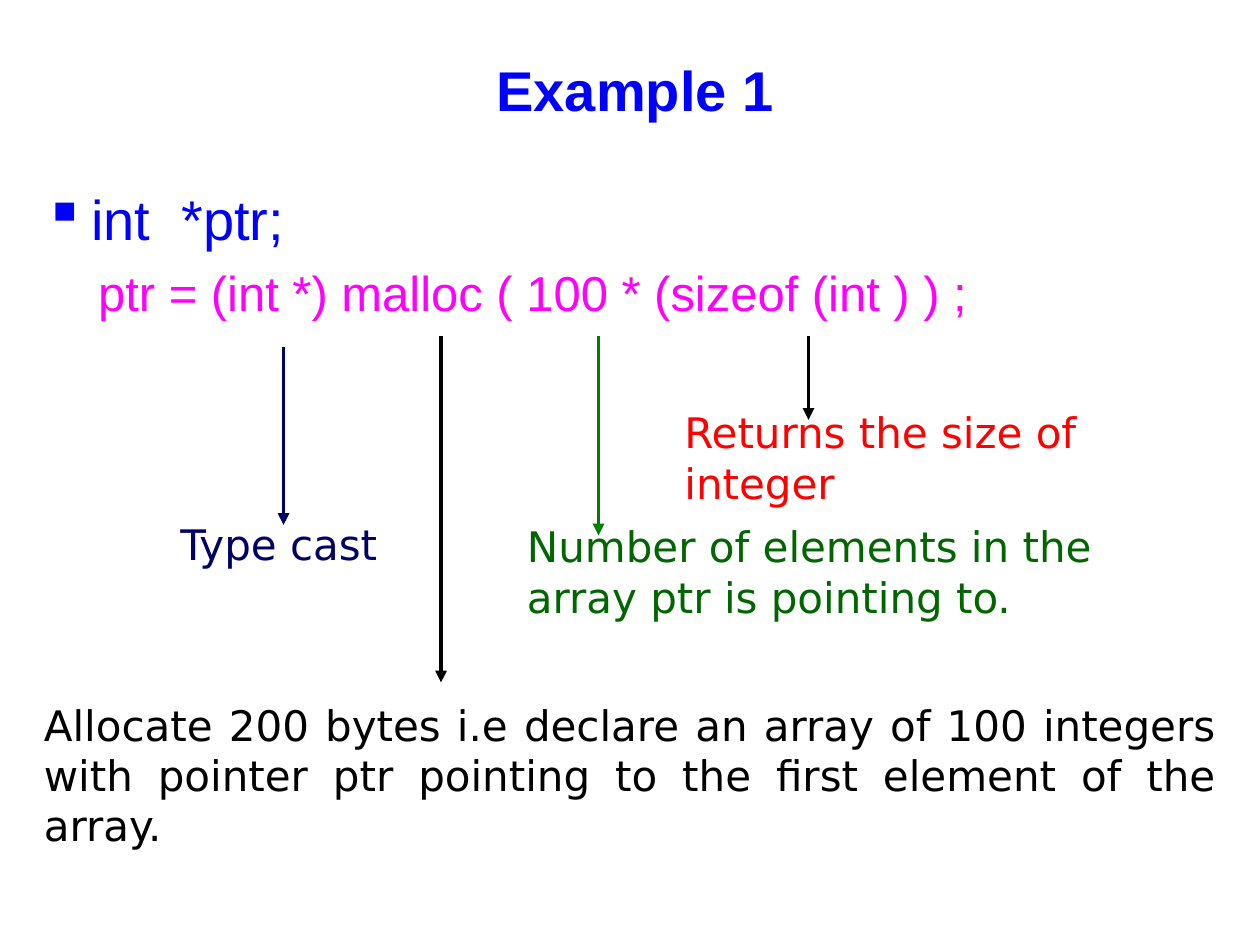
from lxml.etree import SubElement
from pptx import Presentation
from pptx.dml.color import RGBColor
from pptx.enum.shapes import MSO_CONNECTOR
from pptx.enum.text import MSO_ANCHOR, PP_ALIGN
from pptx.oxml.ns import qn
from pptx.util import Pt

BLUE = RGBColor(0x00, 0x00, 0xFF)
MAGENTA = RGBColor(0xFF, 0x00, 0xFF)
BLACK = RGBColor(0x00, 0x00, 0x00)
GREEN = RGBColor(0x00, 0x80, 0x00)
DARK_GREEN = RGBColor(0x00, 0x66, 0x00)
NAVY = RGBColor(0x00, 0x00, 0x66)
RED = RGBColor(0xFF, 0x00, 0x00)


def write(para, text, font="DejaVu Sans", size=24, color=BLACK, bold=False,
          align=PP_ALIGN.LEFT, before=0, margin=0, indent=0, bullet=None):
    para.alignment = align
    para.space_before = Pt(before)
    properties = para._p.get_or_add_pPr()
    properties.set("marL", str(Pt(margin)))
    properties.set("indent", str(Pt(indent)))
    if bullet:
        SubElement(properties, qn("a:buChar"), char=bullet)
    span = para.add_run()
    span.text = text
    span.font.name = font
    span.font.size = Pt(size)
    span.font.bold = bold
    span.font.color.rgb = color


class Slide:
    heading_font = "Arial"
    line_width = 2.25

    def __init__(self, deck):
        self.page = deck.slides.add_slide(deck.slide_layouts[6])

    def text(self, left, top, width, height, *paragraphs, anchor=MSO_ANCHOR.TOP):
        box = self.page.shapes.add_textbox(Pt(left), Pt(top), Pt(width), Pt(height))
        frame = box.text_frame
        frame.word_wrap = True
        frame.vertical_anchor = anchor
        for number, (words, style) in enumerate(paragraphs):
            para = frame.add_paragraph() if number else frame.paragraphs[0]
            write(para, words, **style)

    def arrow_down(self, x, top, bottom, color):
        arrow = self.page.shapes.add_connector(
            MSO_CONNECTOR.STRAIGHT, Pt(x), Pt(top), Pt(x), Pt(bottom))
        arrow.line.color.rgb = color
        arrow.line.width = Pt(self.line_width)
        SubElement(arrow.line._get_or_add_ln(), qn("a:tailEnd"), type="triangle")
        SubElement(arrow._element.spPr, qn("a:effectLst"))


deck = Presentation()
deck.slide_width, deck.slide_height = Pt(720), Pt(540)
slide = Slide(deck)

# Title
slide.text(114, 12, 498, 78,
           ("Example 1", dict(font=Slide.heading_font, size=32, color=BLUE,
                              bold=True, align=PP_ALIGN.CENTER)),
           anchor=MSO_ANCHOR.MIDDLE)

# Code lines
slide.text(18, 102, 678, 96,
           ("int  *ptr;", dict(font=Slide.heading_font, size=32, color=BLUE,
                               before=6.4, margin=27, indent=-27, bullet="▪")),
           ("ptr = (int *) malloc ( 100 * (sizeof (int ) ) ;",
            dict(font=Slide.heading_font, size=28, color=MAGENTA,
                 before=6, margin=31)))

# Arrows from the code to its explanations
for x, top, bottom, color in [(252, 192, 390, BLACK), (342, 192, 306, GREEN),
                              (462, 192, 240, BLACK), (162, 198, 300, NAVY)]:
    slide.arrow_down(x, top, bottom, color)

# Explanations
for left, top, width, height, words, color, align in [
    (18, 396, 684, 94, "Allocate 200 bytes i.e declare an array of 100 integers "
     "with pointer ptr pointing to the first element of the array.",
     BLACK, PP_ALIGN.JUSTIFY),
    (294, 294, 402, 65, "Number of elements in the array ptr is pointing to.",
     DARK_GREEN, PP_ALIGN.LEFT),
    (384, 229, 330, 65, "Returns the size of integer", RED, PP_ALIGN.LEFT),
    (96, 293, 216, 36, "Type cast", NAVY, PP_ALIGN.LEFT),
]:
    slide.text(left, top, width, height,
               (words, dict(color=color, align=align)))

deck.save("out.pptx")
